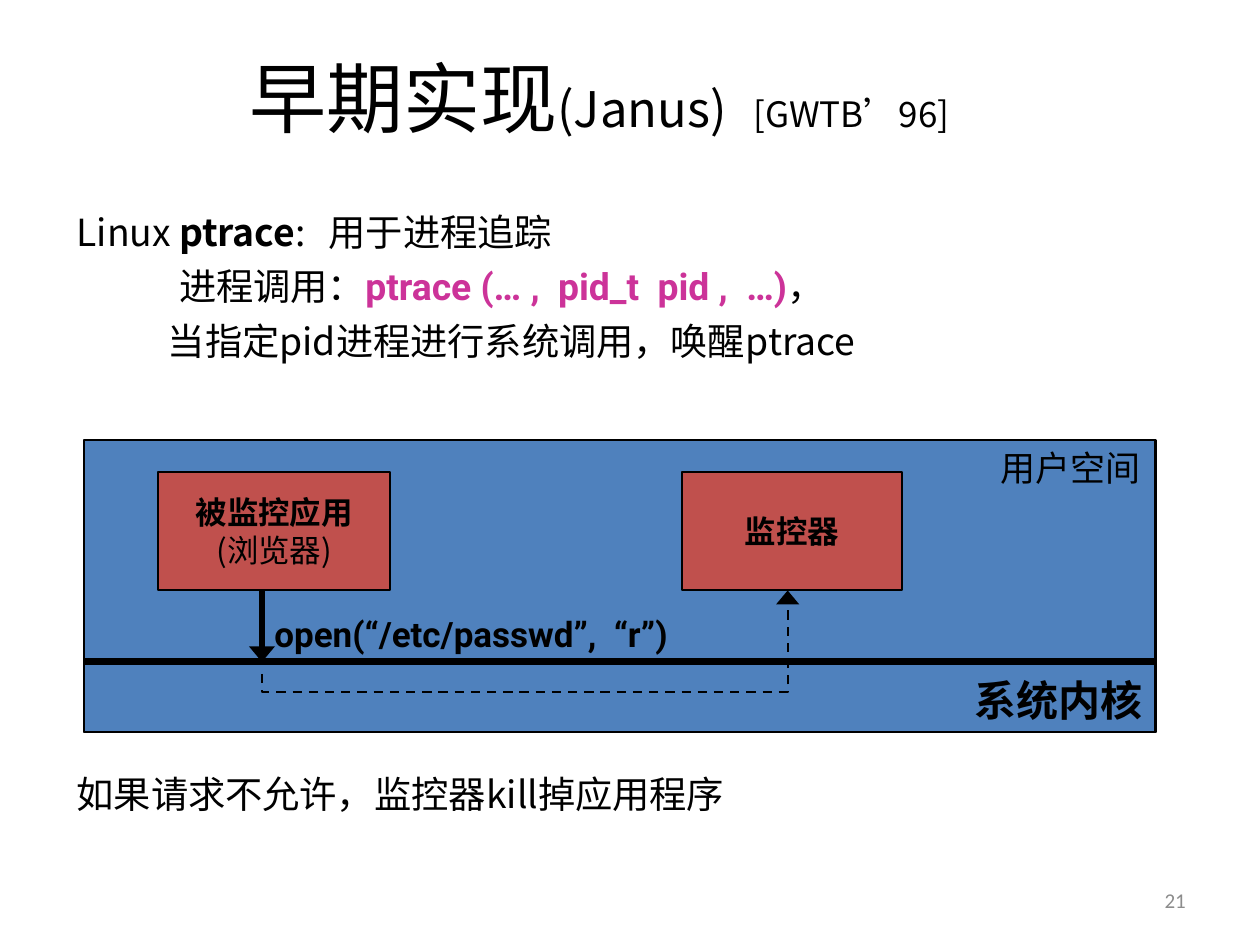
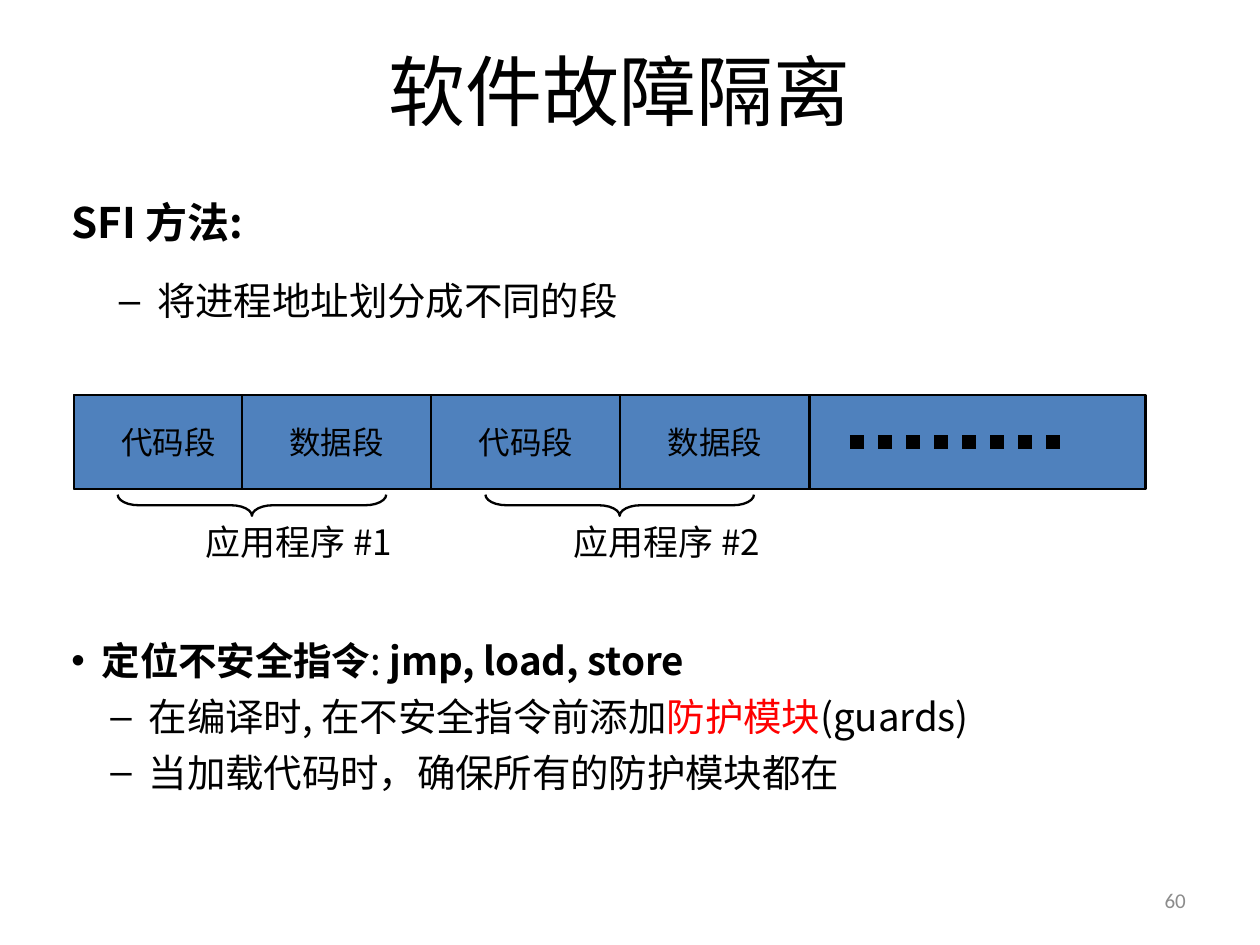
from lxml.etree import SubElement
from pptx import Presentation
from pptx.dml.color import RGBColor
from pptx.enum.dml import MSO_LINE
from pptx.enum.shapes import MSO_CONNECTOR, MSO_SHAPE
from pptx.enum.text import MSO_ANCHOR, PP_ALIGN
from pptx.oxml.ns import qn
from pptx.util import Cm, Pt

COLORS = {
    "black": "000000", "blue": "4F81BD", "brick": "C0504D",
    "magenta": "CC3399", "red": "FF0000", "gray": "8C8C8C",
}
CJK, CODE, NUMBER = "Noto Sans CJK SC", "Roboto", "Calibri"
BOLD = {"bold": True}

JANUS_TITLE = [[("早期实现", {"size": 33}), ("(Janus)\t", {"size": 21}), ("[GWTB’96]", {"size": 15})]]
PTRACE_LINES = [
    ["Linux ", ("ptrace", BOLD), ":\t用于进程追踪"],
    ["进程调用：",
     ("ptrace (… ,  pid_t  pid ,  …)", {"font": CODE, "color": "magenta", "bold": True}), "，"],
    ["当指定pid进程进行系统调用，唤醒ptrace"],
]
PTRACE_FORMATS = [{"tab": 3.86}, {"left": 1.55, "before": 4}, {"left": 1.38, "before": 4}]
PROCESSES = [
    ([[("被监控应用", BOLD)], ["(浏览器)"]], (2.39, 7.14, 3.51, 1.78)),
    ([[("监控器", BOLD)]], (10.31, 7.14, 3.33, 1.78)),
]
REPLY_PATH = [(3.96, 10.19), (3.96, 10.46), (11.91, 10.46), (11.91, 8.93)]

SFI_LINES = [[("SFI 方法:", {"size": 18, "bold": True})], ["将进程地址划分成不同的段"]]
SFI_FORMATS = [{}, {"bullet": "–", "left": 1.3, "hang": 0.58, "before": 13}]
GUARD_LINES = [
    [("定位不安全指令", BOLD), ": ", ("jmp, load, store", BOLD)],
    ["在编译时, 在不安全指令前添加", ("防护模块", {"color": "red"}), "(guards)"],
    ["当加载代码时，确保所有的防护模块都在"],
]
DASH = {"bullet": "–", "left": 1.17, "hang": 0.58, "before": 4.2}
GUARD_FORMATS = [{"bullet": "•", "left": 0.46, "hang": 0.46}, DASH, DASH]
MEMORY = (1.12, 5.97, 16.2, 1.43)
SEGMENTS = ["代码段", "数据段", "代码段", "数据段"]
SEGMENT_WIDTH = 2.86
SECOND_SEGMENT_LEFT = 3.66
APPLICATIONS = [("应用程序 #1", 3.81), ("应用程序 #2", 9.37)]


def rgb(name):
    return RGBColor.from_string(COLORS[name])


def format_paragraph(paragraph, left=0, hang=0, before=0, bullet=None, tab=None):
    properties = paragraph._p.get_or_add_pPr()
    properties.set("marL", str(Cm(left)))
    properties.set("indent", str(-Cm(hang)))
    paragraph.line_spacing = 1.0
    paragraph.space_before = Pt(before)
    if bullet:
        SubElement(properties, qn("a:buFont"), typeface="Arial")
        SubElement(properties, qn("a:buChar"), char=bullet)
    if tab:
        tabs = SubElement(properties, qn("a:tabLst"))
        SubElement(tabs, qn("a:tab"), pos=str(Cm(tab)), algn="l")


def write_run(paragraph, text, size, font=CJK, color="black", bold=False):
    run = paragraph.add_run()
    run.text = text
    run.font.size = Pt(size)
    run.font.bold = bold
    run.font.name = font
    run.font.color.rgb = rgb(color)
    SubElement(run._r.get_or_add_rPr(), qn("a:ea"), typeface=font)


def write_text(shape, lines, formats=(), align=PP_ALIGN.LEFT, anchor=MSO_ANCHOR.TOP, wrap=False, **style):
    frame = shape.text_frame
    frame.word_wrap = wrap
    frame.vertical_anchor = anchor
    frame.margin_left = frame.margin_right = Cm(0.19)
    frame.margin_top = frame.margin_bottom = Cm(0.1)
    for index, line in enumerate(lines):
        paragraph = frame.add_paragraph() if index else frame.paragraphs[0]
        format_paragraph(paragraph, **(formats[index] if formats else {}))
        paragraph.alignment = align
        for piece in line:
            text, extra = (piece, {}) if isinstance(piece, str) else piece
            write_run(paragraph, text, **{**style, **extra})


def add_text(slide, box, lines, **style):
    shape = slide.shapes.add_textbox(*map(Cm, box))
    write_text(shape, lines, **style)


def add_rectangle(slide, box, fill, lines=(), align=PP_ALIGN.CENTER, anchor=MSO_ANCHOR.MIDDLE, size=13.5):
    shape = slide.shapes.add_shape(MSO_SHAPE.RECTANGLE, *map(Cm, box))
    shape.shadow.inherit = False
    shape.fill.solid()
    shape.fill.fore_color.rgb = rgb(fill)
    style_line(shape.line, 1)
    if lines:
        write_text(shape, lines, align=align, anchor=anchor, size=size)


def style_line(line, width, dash=None, arrow=False):
    line.color.rgb = rgb("black")
    line.width = Pt(width)
    if dash:
        line.dash_style = dash
    if arrow:
        SubElement(line._get_or_add_ln(), qn("a:tailEnd"), type="triangle", w="lg", len="med")


def add_line(slide, ends, width, **style):
    connector = slide.shapes.add_connector(MSO_CONNECTOR.STRAIGHT, *map(Cm, ends))
    style_line(connector.line, width, **style)
    SubElement(connector._element.spPr, qn("a:effectLst"))


def add_reply_arrow(slide):
    start, *rest = [(Cm(x), Cm(y)) for x, y in REPLY_PATH]
    builder = slide.shapes.build_freeform(*start)
    builder.add_line_segments(rest, close=False)
    shape = builder.convert_to_shape()
    shape.shadow.inherit = False
    shape.fill.background()
    style_line(shape.line, 1, MSO_LINE.DASH, arrow=True)


def add_brace(slide, center, middle, thickness=0.32, span=4.06):
    shape = slide.shapes.add_shape(
        MSO_SHAPE.LEFT_BRACE, Cm(center - thickness / 2), Cm(middle - span / 2), Cm(thickness), Cm(span))
    shape.rotation = 270
    shape.adjustments[0] = 1
    shape.shadow.inherit = False
    shape.fill.background()
    style_line(shape.line, 1)


def add_slide(presentation, title_box, title, number, **title_style):
    slide = presentation.slides.add_slide(presentation.slide_layouts[6])
    add_text(slide, title_box, title, size=33, anchor=MSO_ANCHOR.MIDDLE, wrap=True, **title_style)
    add_text(slide, (13.67, 13.23, 4.45, 0.76), [[number]], size=9, font=NUMBER, color="gray",
             align=PP_ALIGN.RIGHT, anchor=MSO_ANCHOR.MIDDLE, wrap=True)
    return slide


def build_janus(presentation):
    slide = add_slide(presentation, (3.58, 0.58, 14.2, 1.78), JANUS_TITLE, "21", formats=[{"tab": 8.51}])
    add_text(slide, (0.97, 3.07, 17.48, 3), PTRACE_LINES, formats=PTRACE_FORMATS, size=16, wrap=True)
    add_text(slide, (0.97, 11.56, 17.48, 1.1), [["如果请求不允许，监控器kill掉应用程序"]], size=16, wrap=True)
    add_rectangle(slide, (1.27, 6.65, 16.2, 4.42), "blue")
    add_rectangle(slide, (1.27, 10.01, 16.2, 1.06), "blue", [[("系统内核", BOLD)]],
                  align=PP_ALIGN.RIGHT, anchor=MSO_ANCHOR.BOTTOM, size=18)
    for lines, box in PROCESSES:
        add_rectangle(slide, box, "brick", lines)
    add_text(slide, (14.94, 6.65, 2.64, 0.89), [["用户空间"]], size=15)
    add_line(slide, (3.96, 8.93, 3.96, 10.01), 2.25, arrow=True)
    add_text(slide, (3.96, 9.17, 7.57, 0.89), [["open(“/etc/passwd”,  “r”)"]], size=15, font=CODE, bold=True)
    add_reply_arrow(slide)
    add_line(slide, (1.27, 10.01, 17.47, 10.01), 3)


def build_isolation(presentation):
    slide = add_slide(presentation, (0.79, 0.46, 17.15, 1.78), [["软件故障隔离"]], "60", align=PP_ALIGN.CENTER)
    add_text(slide, (0.89, 2.87, 18, 2.5), SFI_LINES, formats=SFI_FORMATS, size=16.5, wrap=True)
    add_text(slide, (0.89, 9.53, 18, 3.2), GUARD_LINES, formats=GUARD_FORMATS, size=16.5, wrap=True)
    add_rectangle(slide, MEMORY, "blue")
    left, top, _, height = MEMORY
    for index, label in enumerate(SEGMENTS):
        segment_left = SECOND_SEGMENT_LEFT + (index - 1) * SEGMENT_WIDTH if index else left
        add_rectangle(slide, (segment_left, top, SEGMENT_WIDTH, height), "blue", [[label]])
    middle = top + height / 2
    add_line(slide, (12.85, middle, 16.2, middle), 6, dash=MSO_LINE.ROUND_DOT)
    for label, center in APPLICATIONS:
        add_brace(slide, center, 7.64)
        add_text(slide, (center - 0.89, 7.77, 3.45, 0.89), [[label]], size=15)


def main():
    presentation = Presentation()
    presentation.slide_width = Cm(19.05)
    presentation.slide_height = Cm(14.29)
    build_janus(presentation)
    build_isolation(presentation)
    presentation.save("out.pptx")


if __name__ == "__main__":
    main()
